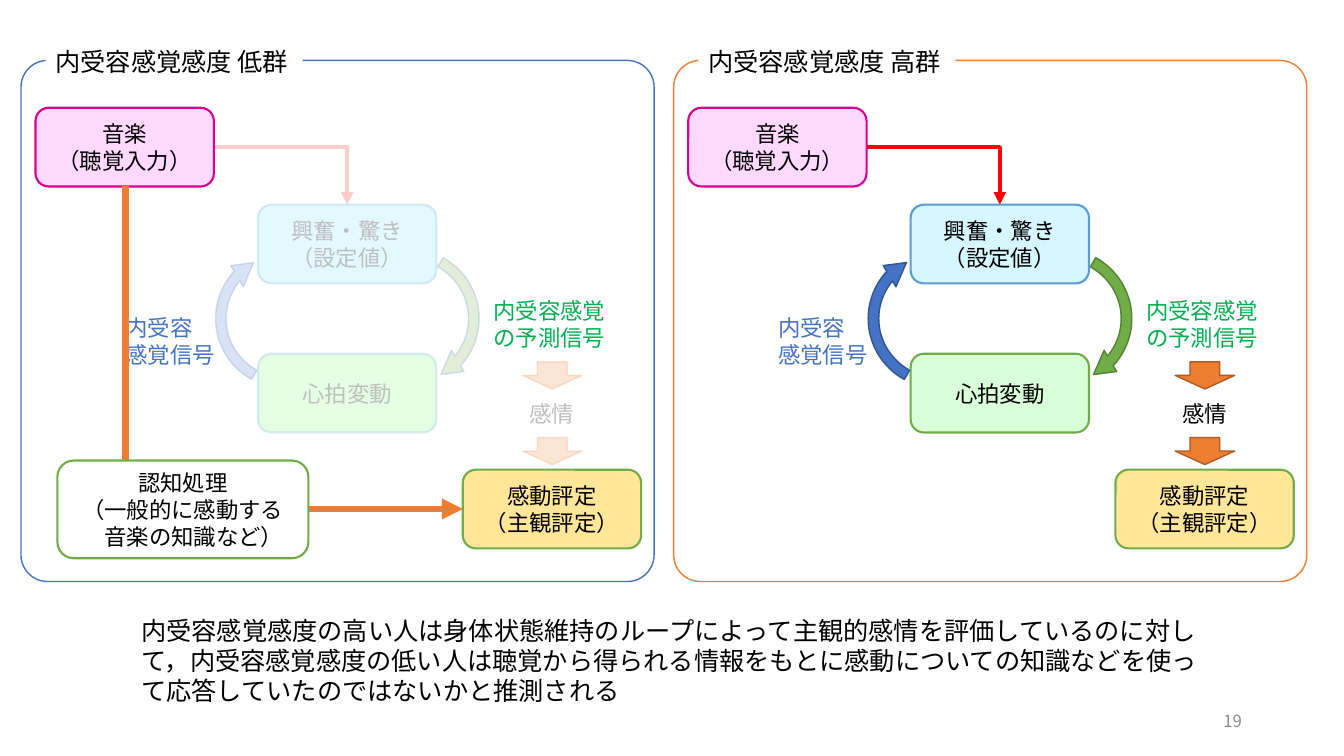
"""Build the slide that compares emotion paths in low and high interoception groups."""
from pptx import Presentation
from pptx.dml.color import RGBColor
from pptx.enum.lang import MSO_LANGUAGE_ID as LANG
from pptx.enum.shapes import MSO_CONNECTOR as CONN, MSO_SHAPE as SHAPE
from pptx.enum.text import MSO_ANCHOR as ANCHOR, MSO_AUTO_SIZE as FIT, PP_ALIGN as ALIGN
from pptx.oxml.ns import qn
from pptx.oxml.xmlchemy import OxmlElement
from pptx.util import Pt

FONT = "Noto Sans CJK JP"
BLACK = RGBColor(0, 0, 0)
WHITE = RGBColor(255, 255, 255)
PALE_GRAY = RGBColor(0xBF, 0xBF, 0xBF)
GRAY = RGBColor(0x8C, 0x8C, 0x8C)
BLUE = RGBColor(0x44, 0x72, 0xC4)
DARK_BLUE = RGBColor(0x32, 0x54, 0x91)
SKY = RGBColor(0x5B, 0x9B, 0xD5)
PALE_SKY = RGBColor(0xD6, 0xF7, 0xFF)
GREEN = RGBColor(0x70, 0xAD, 0x47)
DARK_GREEN = RGBColor(0x54, 0x82, 0x35)
VIVID_GREEN = RGBColor(0x00, 0xB0, 0x50)
PALE_GREEN = RGBColor(0xD9, 0xFF, 0xD9)
ORANGE = RGBColor(0xED, 0x7D, 0x31)
DARK_ORANGE = RGBColor(0xAF, 0x5C, 0x24)
YELLOW = RGBColor(0xFF, 0xE6, 0x99)
PINK = RGBColor(0xFF, 0xD9, 0xFF)
MAGENTA = RGBColor(0xD6, 0x00, 0x93)
RED = RGBColor(0xFF, 0, 0)

BOX_W, BOX_H = 127.4, 56.2
PANEL_STEP = 466.2
CYCLE_ADJ = (0.069, 11.423, 186.121, 126.145, 0.08)


def set_alpha(sp, target, percent):
    """Make the fill or line colour found at target partly transparent."""
    if percent < 100:
        for color in sp._element.spPr.xpath(f"{target}/a:srgbClr"):
            alpha = OxmlElement("a:alpha")
            alpha.set("val", str(percent * 1000))
            color.append(alpha)


def write(sp, text, size, color, align=ALIGN.LEFT):
    """Put text into a shape and format every paragraph and run."""
    tf = sp.text_frame
    tf.text = text
    for p in tf.paragraphs:
        p.alignment = align
        p.line_spacing = Pt(size * 1.2)
        for r in p.runs:
            r.font.size = Pt(size)
            r.font.name = FONT
            r.font.color.rgb = color
            r.font.language_id = LANG.JAPANESE
            ea = OxmlElement("a:ea")
            ea.set("typeface", FONT)
            r.font._element.find(qn("a:latin")).addnext(ea)


def add_shape(s, kind, x, y, w, h, fill=None, line=None, width=1,
              fill_alpha=100, line_alpha=100):
    """Add a preset shape without shadow."""
    sp = s.shapes.add_shape(kind, Pt(x), Pt(y), Pt(w), Pt(h))
    sp.shadow.inherit = False
    if fill is None:
        sp.fill.background()
    else:
        sp.fill.solid()
        sp.fill.fore_color.rgb = fill
        set_alpha(sp, "./a:solidFill", fill_alpha)
    if line is None:
        sp.line.fill.background()
    else:
        sp.line.color.rgb = line
        sp.line.width = Pt(width)
        set_alpha(sp, "./a:ln/a:solidFill", line_alpha)
    return sp


def add_box(s, x, y, text, fill, line, w=BOX_W, h=BOX_H, faded=False):
    """Add a rounded box with a centred label."""
    sp = add_shape(s, SHAPE.ROUNDED_RECTANGLE, x, y, w, h, fill, line, 1.5,
                   70 if faded else 100, 20 if faded else 100)
    tf = sp.text_frame
    tf.word_wrap = True
    tf.vertical_anchor = ANCHOR.MIDDLE
    tf.margin_left = tf.margin_right = Pt(12)
    write(sp, text, 16, PALE_GRAY if faded else BLACK, ALIGN.CENTER)


def add_text(s, x, y, w, h, text, size=16, color=BLACK, wrap=False):
    """Add a text box that grows with its text."""
    sp = s.shapes.add_textbox(Pt(x), Pt(y), Pt(w), Pt(h))
    sp.text_frame.word_wrap = wrap
    sp.text_frame.auto_size = FIT.SHAPE_TO_FIT_TEXT
    write(sp, text, size, color)
    return sp


def add_elbow(s, x1, y1, x2, y2, color, width, alpha=100, down_first=False):
    """Add a one-bend arrow that leaves sideways, or downwards if down_first."""
    if down_first:
        cx, cy, dx, dy = (x1 + x2) / 2, (y1 + y2) / 2, x2 - x1, y2 - y1
        x1, x2, y1, y2 = cx - dy / 2, cx + dy / 2, cy - dx / 2, cy + dx / 2
    sp = s.shapes.add_connector(CONN.ELBOW, Pt(x1), Pt(y1), Pt(x2), Pt(y2))
    sp.line.color.rgb = color
    sp.line.width = Pt(width)
    set_alpha(sp, "./a:ln/a:solidFill", alpha)
    props = sp._element.spPr
    props.find(qn("a:prstGeom")).set("prst", "bentConnector2")
    if down_first:
        xfrm = props.find(qn("a:xfrm"))
        xfrm.set("rot", "16200000")
        xfrm.set("flipH", "1")
    tail = OxmlElement("a:tailEnd")
    tail.set("type", "triangle")
    props.find(qn("a:ln")).append(tail)
    props.append(OxmlElement("a:effectLst"))


def add_cycle_arrow(s, x, rotation, fill, line, alpha):
    """Add one curved arrow of the feedback loop."""
    sp = add_shape(s, SHAPE.CIRCULAR_ARROW, x, 171.4, 110.2, 112.3, fill, line, 1, alpha, alpha)
    for i, value in enumerate(CYCLE_ADJ):
        sp.adjustments[i] = value
    sp.rotation = rotation


def add_panel(s, dx, heading, frame_color, faded):
    """Add one group's panel, with its feedback loop faded or in full colour."""
    alpha = 20 if faded else 100
    add_box(s, dx + 184.3, 252.7, "心拍変動", PALE_GREEN, SKY if faded else GREEN, faded=faded)
    add_cycle_arrow(s, dx + 236, 90, GREEN, BLUE if faded else DARK_GREEN, alpha)
    add_cycle_arrow(s, dx + 150, 270, BLUE, BLUE if faded else DARK_BLUE, alpha)
    add_text(s, dx + 82.6, 221, 79.2, 44, "内受容\n感覚信号", color=BLUE)
    add_elbow(s, dx + 152.8, 105.1, dx + 248, 146.2, RED, 3, alpha)
    add_text(s, dx + 345.4, 208.8, 98.6, 46, "内受容感覚\nの予測信号", color=VIVID_GREEN, wrap=True)
    add_box(s, dx + 184.3, 146.2, "興奮・驚き（設定値）", PALE_SKY, SKY, faded=faded)
    add_box(s, dx + 25.4, 77, "音楽\n（聴覚入力）", PINK, MAGENTA)
    for y in (258.5, 312.5):
        add_shape(s, SHAPE.DOWN_ARROW, dx + 373.2, y, 42.5, 19.4, ORANGE,
                  ORANGE if faded else DARK_ORANGE, 1, alpha, alpha)
    add_text(s, dx + 371, 282.2, 46.8, 26.6, "感情", color=PALE_GRAY if faded else BLACK)
    add_box(s, dx + 330.6, 335.5, "感動評定\n（主観評定）", YELLOW, GREEN)
    frame = add_shape(s, SHAPE.ROUNDED_RECTANGLE, dx + 15, 43.2, 452.2, 372.2, line=frame_color)
    frame.adjustments[0] = 0.051
    sp = add_text(s, dx + 32.6, 29.5, 183.6, 28.8, heading, 18)
    sp.fill.solid()
    sp.fill.fore_color.rgb = WHITE


def add_knowledge_route(s):
    """Add the low group's route through cognitive processing."""
    add_elbow(s, 89.3, 133.2, 330.6, 363.6, ORANGE, 5, down_first=True)
    add_box(s, 41, 329, "認知処理\n（一般的に感動する\n　音楽の知識など）", WHITE, GREEN, 179.3, 69.8)


def add_page_number(s, number):
    """Add the right-aligned page number."""
    sp = s.shapes.add_textbox(Pt(678.2), Pt(500.5), Pt(216), Pt(28.8))
    sp.text_frame.word_wrap = True
    sp.text_frame.vertical_anchor = ANCHOR.MIDDLE
    write(sp, number, 12, GRAY, ALIGN.RIGHT)


def main():
    """Build and save the slide."""
    prs = Presentation()
    prs.slide_width, prs.slide_height = Pt(960), Pt(540)
    s = prs.slides.add_slide(prs.slide_layouts[6])
    add_panel(s, PANEL_STEP, "内受容感覚感度 高群", ORANGE, False)
    add_panel(s, 0, "内受容感覚感度 低群", BLUE, True)
    add_knowledge_route(s)
    add_text(s, 93.9, 435.6, 771.8, 72.7,
             "内受容感覚感度の高い人は身体状態維持のループによって主観的感情を評価しているのに対して，"
             "内受容感覚感度の低い人は聴覚から得られる情報をもとに感動についての知識などを使って"
             "応答していたのではないかと推測される", 18, wrap=True)
    add_page_number(s, "19")
    prs.save("out.pptx")


if __name__ == "__main__":
    main()
